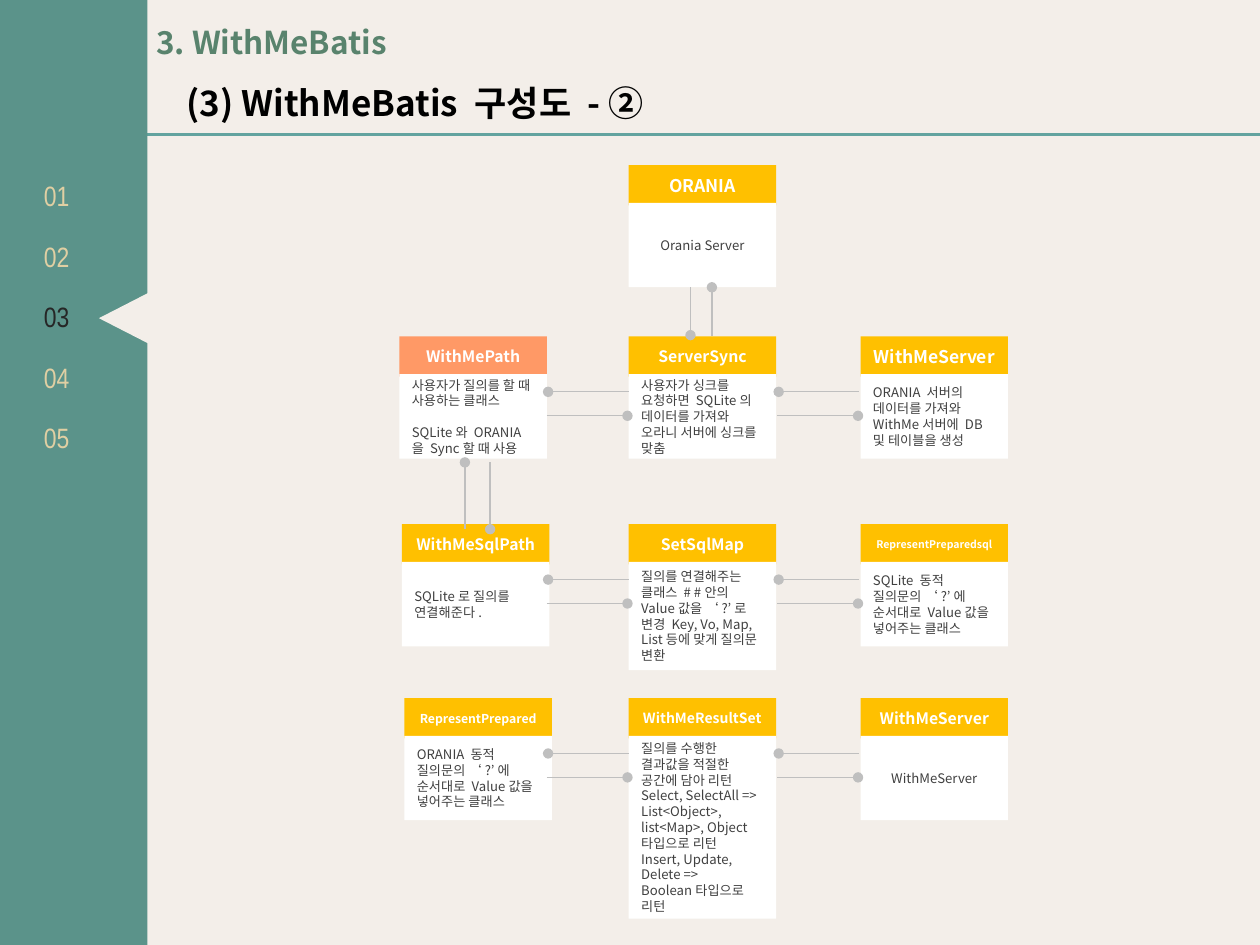
from lxml import etree
from pptx import Presentation
from pptx.dml.color import RGBColor
from pptx.enum.shapes import MSO_CONNECTOR, MSO_SHAPE
from pptx.enum.text import MSO_ANCHOR, PP_ALIGN
from pptx.oxml.ns import qn
from pptx.util import Pt

PX = 9144  # 100 px to the inch
RECT, TRI = MSO_SHAPE.RECTANGLE, MSO_SHAPE.ISOSCELES_TRIANGLE
LEFT, MID = PP_ALIGN.LEFT, PP_ALIGN.CENTER
LINE = MSO_CONNECTOR.STRAIGHT
SANS = "Noto Sans CJK KR"
GOLD, CORAL, TEAL, CREAM = "FFC000", "FF9966", "5B938A", "F3EEE9"

deck = Presentation()
deck.slide_width, deck.slide_height = 1000 * PX, 750 * PX
slide = deck.slides.add_slide(deck.slide_layouts[6])
shapes = slide.shapes


def paint(fill, color):
    fill.solid()
    fill.fore_color.rgb = RGBColor.from_string(color)


def write(text, x, y, w, h, size=7.5, color="404040", bold=False, font=SANS,
          align=LEFT, fill=None, shape=RECT, gap=0):
    """Add a filled shape, or a text box if there is no fill, and its text."""
    place = [n * PX for n in (x, y, w, h)]
    if fill:
        box = shapes.add_shape(shape, *place)
        box.shadow.inherit = False
        paint(box.fill, fill)
        box.line.fill.background()
    else:
        box = shapes.add_textbox(*place)
    frame = box.text_frame
    frame.word_wrap = True
    frame.vertical_anchor = MSO_ANCHOR.MIDDLE if fill else MSO_ANCHOR.TOP
    for i, part in enumerate(text.split("\n") if text else []):
        para = frame.paragraphs[0] if i == 0 else frame.add_paragraph()
        para.alignment = align
        if i and gap:
            para.space_before = Pt(gap)
        run = para.add_run()
        run.text = part
        run.font.size, run.font.bold, run.font.name = Pt(size), bold, font
        paint(run.font.fill, color)
        east = etree.SubElement(run.font._element, qn("a:ea"))
        east.set("typeface", font)
    return box


def link(x1, y1, x2, y2, color="BFBFBF", width=0.75, end=None):
    """Draw a line; end is headEnd or tailEnd, where its dot sits."""
    line = shapes.add_connector(LINE, x1 * PX, y1 * PX, x2 * PX, y2 * PX)
    paint(line.line.fill, color)
    line.line.width = Pt(width)
    if end:
        dot = etree.SubElement(line.line._get_or_add_ln(), qn(f"a:{end}"))
        dot.set("type", "oval")
    etree.SubElement(line._element.spPr, qn("a:effectLst"))


paint(slide.background.fill, CREAM)
link(117, 107, 1000, 107, color="62A39F", width=1.5)
write("3. WithMeBatis", 114, 13, 258, 40, size=18, color="59836D", bold=True)
write("(3) WithMeBatis 구성도 - ②", 138, 60, 434, 74,
      size=20, color="000000", bold=True)

# Cards: x, y, title, title size, title fill, body height, body align, body
ROWS = (267, 416, 554)
TOP, MIDX, ENDX = 131, 499, 683
cards = [
    (MIDX, TOP, "ORANIA", 10, GOLD, 67, MID, "Orania Server"),
    (317, ROWS[0], "WithMePath", 9, CORAL, 67, LEFT,
     "사용자가 질의를 할 때 사용하는 클래스\nSQLite와 ORANIA을 Sync할 때 사용"),
    (MIDX, ROWS[0], "ServerSync", 9, GOLD, 67, LEFT,
     "사용자가 싱크를 요청하면 SQLite의 데이터를 가져와 오라니 서버에 싱크를 맞춤"),
    (ENDX, ROWS[0], "WithMeServer", 10, GOLD, 67, LEFT,
     "ORANIA 서버의 데이터를 가져와 WithMe서버에 DB및 테이블을 생성"),
    (319, ROWS[1], "WithMeSqlPath", 9, GOLD, 67, LEFT,
     "SQLite로 질의를 연결해준다."),
    (MIDX, ROWS[1], "SetSqlMap", 9, GOLD, 86, LEFT,
     "질의를 연결해주는 클래스 # #안의 Value값을 ‘?’로 변경 "
     "Key, Vo, Map, List등에 맞게 질의문 변환"),
    (ENDX, ROWS[1], "RepresentPreparedsql", 6, GOLD, 67, LEFT,
     "SQLite 동적 질의문의 ‘?’에 순서대로 Value값을 넣어주는 클래스"),
    (321, ROWS[2], "RepresentPrepared", 7, GOLD, 67, LEFT,
     "ORANIA 동적 질의문의 ‘?’에 순서대로 Value값을 넣어주는 클래스"),
    (MIDX, ROWS[2], "WithMeResultSet", 8, GOLD, 145, LEFT,
     "질의를 수행한 결과값을 적절한 공간에 담아 리턴\n"
     "Select, SelectAll =>\n"
     "List<Object>, list<Map>, Object타입으로 리턴\n"
     "Insert, Update, Delete =>\n"
     "Boolean타입으로 리턴"),
    (ENDX, ROWS[2], "WithMeServer", 9, GOLD, 67, MID, "WithMeServer"),
]
for x, y, title, size, fill, tall, align, body in cards:
    write(title, x, y, 117, 32, size=size, color="FFFFFF", bold=True,
          align=MID, fill=fill)
    write(body, x, y + 30, 117, tall, align=align, fill="FFFFFF",
          gap=9 if title == "WithMePath" else 0)

for y in ROWS:
    for x in (434, 617):
        link(x + 1, y + 44, x + 65, y + 44, end="headEnd")
        link(x, y + 63, x + 64, y + 63, end="tailEnd")
link(548, 228, 548, 266, end="tailEnd")
link(565, 228, 565, 267, end="headEnd")
link(369, 367, 369, 420, end="headEnd")
link(389, 367, 389, 420, end="tailEnd")

# Side bar with the current chapter marked
write("", 0, 0, 117, 750, fill=TEAL)
mark = write("", 78, 233, 40, 39, fill=CREAM, shape=TRI)
mark.rotation = 270
for i in range(5):
    write(f"0{i + 1}", 25, 137 + 48 * i, 49, 38, size=16, font="Arial Narrow",
          color="262626" if i == 2 else "E0CFA3")

deck.save("out.pptx")
